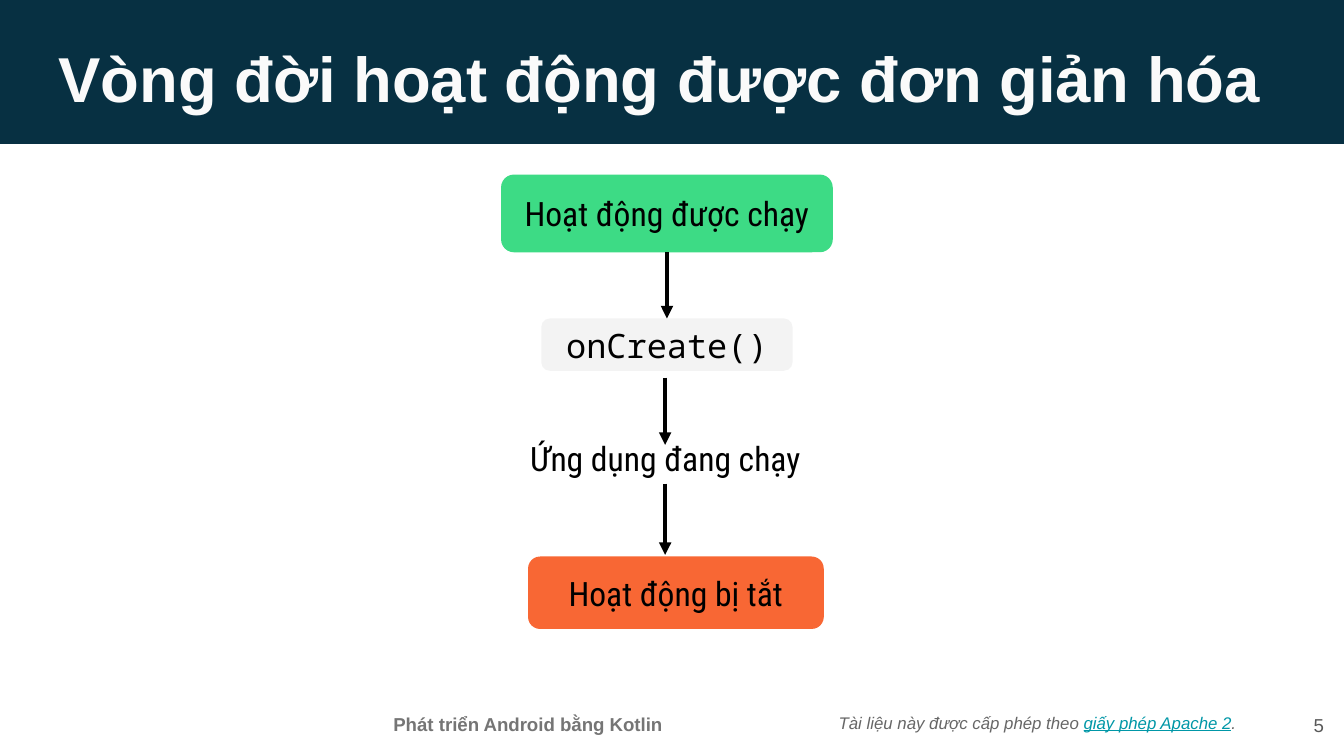
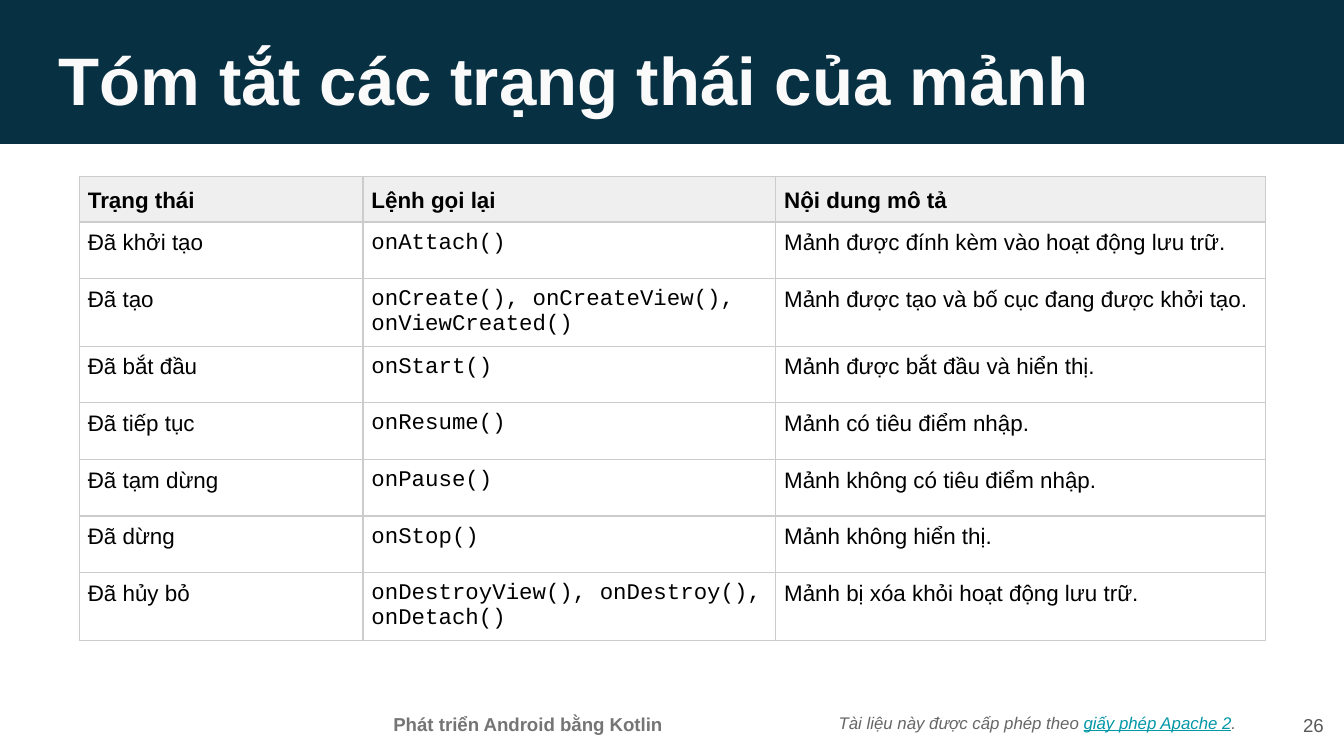
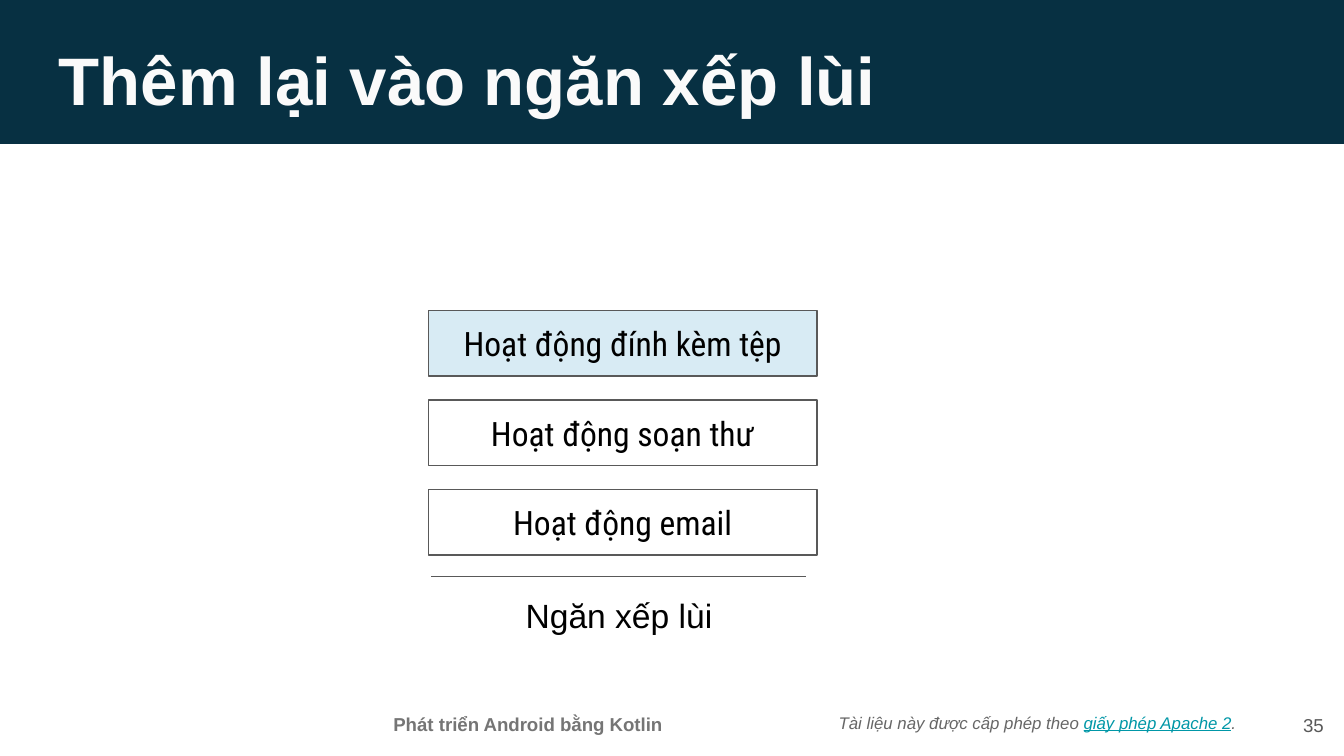
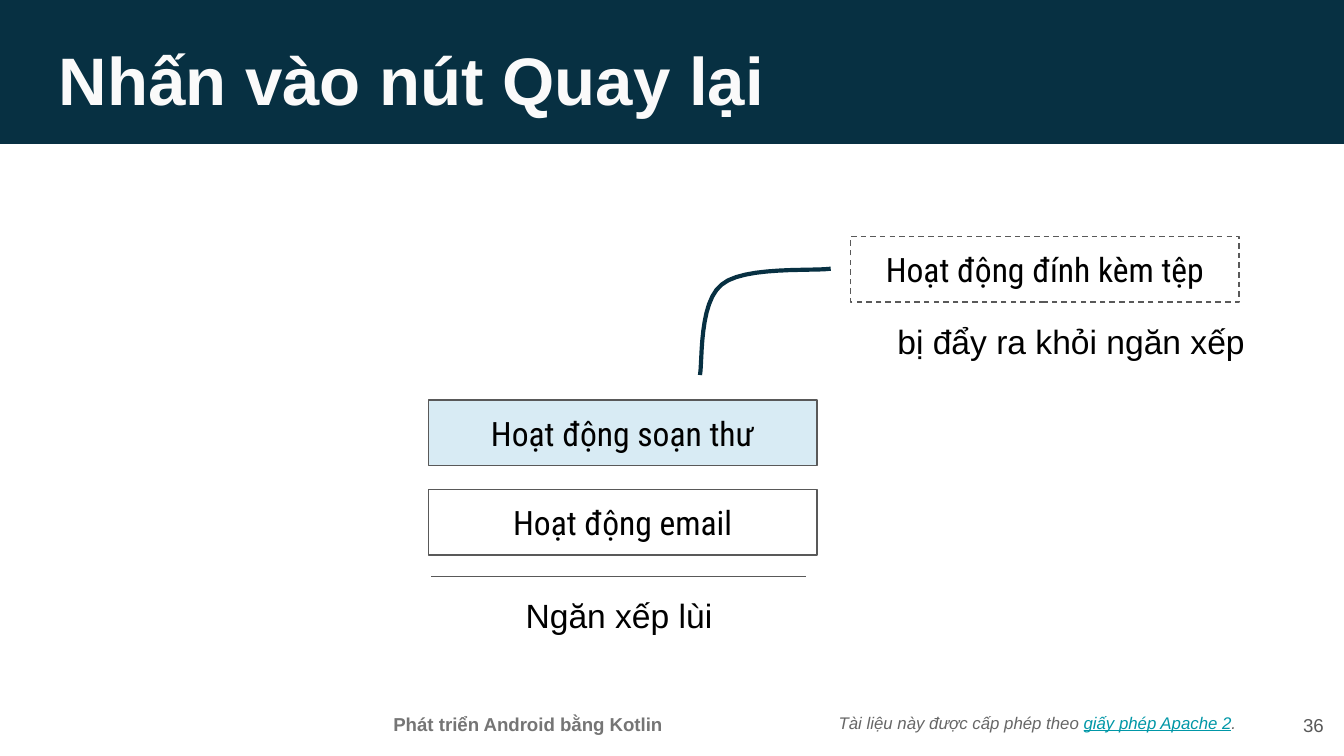
from dataclasses import dataclass
from typing import Optional

from pptx import Presentation
from pptx.dml.color import RGBColor
from pptx.enum.dml import MSO_LINE
from pptx.enum.shapes import MSO_CONNECTOR, MSO_SHAPE
from pptx.enum.text import MSO_ANCHOR as Anchor, MSO_AUTO_SIZE, PP_ALIGN as Align
from pptx.oxml import parse_xml
from pptx.oxml.ns import nsdecls, qn
from pptx.util import Cm, Pt

NAVY, WHITE, BLACK = "073042", "FFFFFF", "000000"
GREEN, ORANGE, PALE_GREY, SKY = "3DDB85", "F86734", "F3F3F3", "0E87C0"
DARK_GREY, NOTE_GREY, COURSE_GREY = "595959", "666666", "757575"
TITLE_WHITE, LINK_TEAL = "FAFAFA", "0097A7"
HEADER_GREY, GRID_GREY = "EFEFEF", "CCCCCC"
SANS, CONDENSED, MONO, CODE = "Arial", "Roboto Condensed", "Noto Sans Mono", "Courier New"

INSET = 0.25
SKY_OPACITY = 16


@dataclass
class TextStyle:
    font: str = CONDENSED
    size: float = 18
    color: str = BLACK
    bold: bool = False
    italic: bool = False
    align: Align = Align.CENTER
    anchor: Anchor = Anchor.MIDDLE


@dataclass
class Box:
    """A text box, or a preset shape when one is given; lengths in cm."""
    text: str
    left: float
    top: float
    width: float
    height: float
    style: TextStyle
    shape: Optional[MSO_SHAPE] = None
    fill: Optional[str] = None
    opacity: int = 100
    line: Optional[str] = None
    dashed: bool = False


@dataclass
class Line:
    x1: float
    y1: float
    x2: float
    y2: float
    color: str = BLACK
    width: float = 2.25
    arrow: bool = True


LABEL = TextStyle()
CAPTION = TextStyle(SANS)
NOTE = TextStyle(SANS, 9, NOTE_GREY, italic=True, align=Align.LEFT)
PAGE_NUMBER = TextStyle(SANS, 10, DARK_GREY, align=Align.RIGHT)
COURSE = TextStyle(SANS, 10, COURSE_GREY, bold=True, anchor=Anchor.TOP)

BAND = Box("", -0.03, -0.1, 25.43, 2.82, LABEL, MSO_SHAPE.RECTANGLE, NAVY)
COURSE_NAME = Box("Phát triển Android bằng Kotlin", 6.38, 13.23, 7.19, 0.81, COURSE)
LICENCE = Box("Tài liệu này được cấp phép theo ", 15.6, 13.06, 8.61, 1.19, NOTE)

STACK_LEFT, STACK_BOTTOM_TOP, STACK_STEP = 8.1, 9.25, 1.69
CARD_WIDTH, CARD_HEIGHT = 7.34, 1.24

STATES = [
    ("Trạng thái", "Lệnh gọi lại", "Nội dung mô tả"),
    ("Đã khởi tạo", "onAttach()", "Mảnh được đính kèm vào hoạt động lưu trữ."),
    ("Đã tạo", "onCreate(), onCreateView(), onViewCreated()",
     "Mảnh được tạo và bố cục đang được khởi tạo."),
    ("Đã bắt đầu", "onStart()", "Mảnh được bắt đầu và hiển thị."),
    ("Đã tiếp tục", "onResume()", "Mảnh có tiêu điểm nhập."),
    ("Đã tạm dừng", "onPause()", "Mảnh không có tiêu điểm nhập."),
    ("Đã dừng", "onStop()", "Mảnh không hiển thị."),
    ("Đã hủy bỏ", "onDestroyView(), onDestroy(), onDetach()",
     "Mảnh bị xóa khỏi hoạt động lưu trữ."),
]


def rgb(color: str) -> RGBColor:
    return RGBColor.from_string(color)


def format_para(para, style: TextStyle) -> None:
    para.alignment = style.align
    font = para.font
    font.name, font.size = style.font, Pt(style.size)
    font.bold, font.italic = style.bold, style.italic
    font.color.rgb = rgb(style.color)


def fill_frame(frame, text: str, style: TextStyle) -> None:
    frame.word_wrap = True
    frame.auto_size = MSO_AUTO_SIZE.NONE
    frame.vertical_anchor = style.anchor
    frame.margin_left = frame.margin_right = Cm(INSET)
    frame.margin_top = frame.margin_bottom = Cm(INSET)
    frame.text = text
    format_para(frame.paragraphs[0], style)


def draw_box(page, box: Box):
    frame_size = [Cm(n) for n in (box.left, box.top, box.width, box.height)]
    if box.shape is None:
        item = page.shapes.add_textbox(*frame_size)
    else:
        item = page.shapes.add_shape(box.shape, *frame_size)
        item.shadow.inherit = False
        paint(item, box)
    if box.text:
        fill_frame(item.text_frame, box.text, box.style)
    return item


def paint(item, box: Box) -> None:
    """Give a preset shape its fill and outline."""
    if box.fill:
        item.fill.solid()
        item.fill.fore_color.rgb = rgb(box.fill)
        if box.opacity < 100:
            color = item.element.spPr.find(qn("a:solidFill"))[0]
            color.append(parse_xml(
                f'<a:alpha {nsdecls("a")} val="{box.opacity * 1000}"/>'))
    else:
        item.fill.background()
    if box.line:
        item.line.color.rgb = rgb(box.line)
        item.line.width = Pt(0.75)
        if box.dashed:
            item.line.dash_style = MSO_LINE.DASH
    else:
        item.line.fill.background()


def draw_line(page, line: Line):
    ends = [Cm(n) for n in (line.x1, line.y1, line.x2, line.y2)]
    item = page.shapes.add_connector(MSO_CONNECTOR.STRAIGHT, *ends)
    item.line.color.rgb = rgb(line.color)
    item.line.width = Pt(line.width)
    properties = item.element.spPr
    if line.arrow:
        properties.find(qn("a:ln")).append(
            parse_xml(f'<a:tailEnd {nsdecls("a")} type="triangle"/>'))
    properties.append(parse_xml(f'<a:effectLst {nsdecls("a")}/>'))
    return item


def draw_curve(page, start: tuple, pieces: list, color: str, steps: int = 12) -> None:
    """Draw an open curve through cubic Bezier pieces, given in cm."""
    points = []
    first = start
    for second, third, last in pieces:
        for step in range(1, steps + 1):
            t = step / steps
            weights = ((1 - t) ** 3, 3 * t * (1 - t) ** 2, 3 * t ** 2 * (1 - t), t ** 3)
            corners = (first, second, third, last)
            points.append(tuple(
                Cm(sum(w * corner[axis] for w, corner in zip(weights, corners)))
                for axis in (0, 1)))
        first = last
    builder = page.shapes.build_freeform(Cm(start[0]), Cm(start[1]))
    builder.add_line_segments(points, close=False)
    curve = builder.convert_to_shape()
    curve.shadow.inherit = False
    curve.fill.background()
    curve.line.color.rgb = rgb(color)
    curve.line.width = Pt(2.25)


def add_page(deck, title: str, number: int, title_size: float = 36):
    """Add a page with its band, footers and title."""
    page = deck.slides.add_slide(deck.slide_layouts[5])
    licence = draw_box(page, LICENCE)
    para = licence.text_frame.paragraphs[0]
    link = para.add_run()
    link.text = "giấy phép Apache 2"
    link.font.color.rgb = rgb(LINK_TEAL)
    link.font.underline = True
    para.add_run().text = "."
    draw_box(page, BAND)
    draw_box(page, COURSE_NAME)

    heading = page.shapes.title
    page.shapes.element.append(heading.element)  # bring in front of the band
    heading.left, heading.top = Cm(0.86), Cm(0.48)
    heading.width, heading.height = Cm(23.67), Cm(1.6)
    fill_frame(heading.text_frame, title, TextStyle(
        SANS, title_size, TITLE_WHITE, bold=True, align=Align.LEFT, anchor=Anchor.TOP))
    draw_box(page, Box(str(number), 23.75, 13.16, 1.52, 1.09, PAGE_NUMBER))
    return page


def build_lifecycle(deck) -> None:
    page = add_page(deck, "Vòng đời hoạt động được đơn giản hóa", 5, 34)
    rounded = MSO_SHAPE.ROUNDED_RECTANGLE
    launched = draw_box(page, Box("Hoạt động được chạy", 9.47, 3.3, 6.27, 1.47,
                                  LABEL, rounded, GREEN))
    draw_box(page, Box("Ứng dụng đang chạy", 9.22, 8.03, 6.71, 1.09,
                       TextStyle(anchor=Anchor.TOP)))
    draw_box(page, Box("Hoạt động bị tắt", 9.98, 10.52, 5.59, 1.37,
                       LABEL, rounded, ORANGE))
    created = draw_box(page, Box("onCreate()", 10.23, 6.02, 4.75, 0.99,
                                 TextStyle(MONO), rounded, PALE_GREY))
    to_created, _, _ = [draw_line(page, Line(12.57, top, 12.57, bottom))
                        for top, bottom in ((4.77, 6.02), (7.14, 8.41), (9.14, 10.49))]
    to_created.begin_connect(launched, 2)
    to_created.end_connect(created, 0)


def add_borders(cell) -> None:
    for side in ("lnL", "lnR", "lnT", "lnB"):
        cell._tc.get_or_add_tcPr().append(parse_xml(
            f'<a:{side} {nsdecls("a")} w="{Pt(0.75)}"><a:solidFill>'
            f'<a:srgbClr val="{GRID_GREY}"/></a:solidFill></a:{side}>'))


def build_states(deck) -> None:
    page = add_page(deck, "Tóm tắt các trạng thái của mảnh", 26)
    widths = (5.36, 7.8, 9.25)
    heights = [0.86] + [1.07] * (len(STATES) - 1)
    table = page.shapes.add_table(len(STATES), len(widths), Cm(1.5), Cm(3.33),
                                  Cm(sum(widths)), Cm(sum(heights))).table
    table.first_row = table.horz_banding = False
    for column, width in zip(table.columns, widths):
        column.width = Cm(width)
    for row_index, (row, height, texts) in enumerate(zip(table.rows, heights, STATES)):
        row.height = Cm(height)
        is_header = row_index == 0
        for column_index, (cell, text) in enumerate(zip(row.cells, texts)):
            cell.margin_left = cell.margin_right = Cm(0.16)
            cell.margin_top = cell.margin_bottom = Cm(0.16)
            cell.text = text
            para = cell.text_frame.paragraphs[0]
            is_code = column_index == 1 and not is_header
            format_para(para, TextStyle(CODE if is_code else SANS, 12,
                                        bold=is_header, align=Align.LEFT))
            add_borders(cell)
            if is_header:
                para.line_spacing = 1.15
                cell.fill.solid()
                cell.fill.fore_color.rgb = rgb(HEADER_GREY)
            else:
                cell.fill.background()


def make_card(text: str, left: float, top: float, fill: Optional[str] = WHITE,
              opacity: int = 100, dashed: bool = False) -> Box:
    return Box(text, left, top, CARD_WIDTH, CARD_HEIGHT, LABEL,
               MSO_SHAPE.RECTANGLE, fill, opacity, DARK_GREY, dashed)


def draw_stack(page, activities: list) -> None:
    """Draw the back stack from the bottom up, with its top card tinted."""
    draw_box(page, Box("Ngăn xếp lùi", 8.59, 11.3, 6.22, 0.66, CAPTION))
    draw_line(page, Line(8.15, 10.9, 15.24, 10.9, DARK_GREY, 0.75, arrow=False))
    for level, activity in enumerate(activities):
        top = STACK_BOTTOM_TOP - level * STACK_STEP
        if level == len(activities) - 1:
            card = make_card(activity, STACK_LEFT, top, SKY, SKY_OPACITY)
        else:
            card = make_card(activity, STACK_LEFT, top)
        draw_box(page, card)


def build_push(deck) -> None:
    page = add_page(deck, "Thêm lại vào ngăn xếp lùi", 35)
    draw_stack(page, ["Hoạt động email", "Hoạt động soạn thư", "Hoạt động đính kèm tệp"])


def build_pop(deck) -> None:
    page = add_page(deck, "Nhấn vào nút Quay lại", 36)
    draw_stack(page, ["Hoạt động email", "Hoạt động soạn thư"])
    draw_box(page, make_card("Hoạt động đính kèm tệp", 16.08, 4.47, dashed=True))
    draw_curve(page, (13.23, 7.09),
               [((13.28, 6.81), (13.21, 5.72), (13.64, 5.38)),
                ((14.05, 5.03), (15.37, 5.13), (15.7, 5.08))], NAVY)
    draw_box(page, Box("bị đẩy ra khỏi ngăn xếp", 16.71, 5.82, CARD_WIDTH, CARD_HEIGHT,
                       TextStyle(SANS, align=Align.LEFT, anchor=Anchor.TOP)))


def main() -> None:
    deck = Presentation()
    deck.slide_width, deck.slide_height = Cm(25.4), Cm(14.29)
    for build in (build_lifecycle, build_states, build_push, build_pop):
        build(deck)
    deck.save("out.pptx")


if __name__ == "__main__":
    main()
